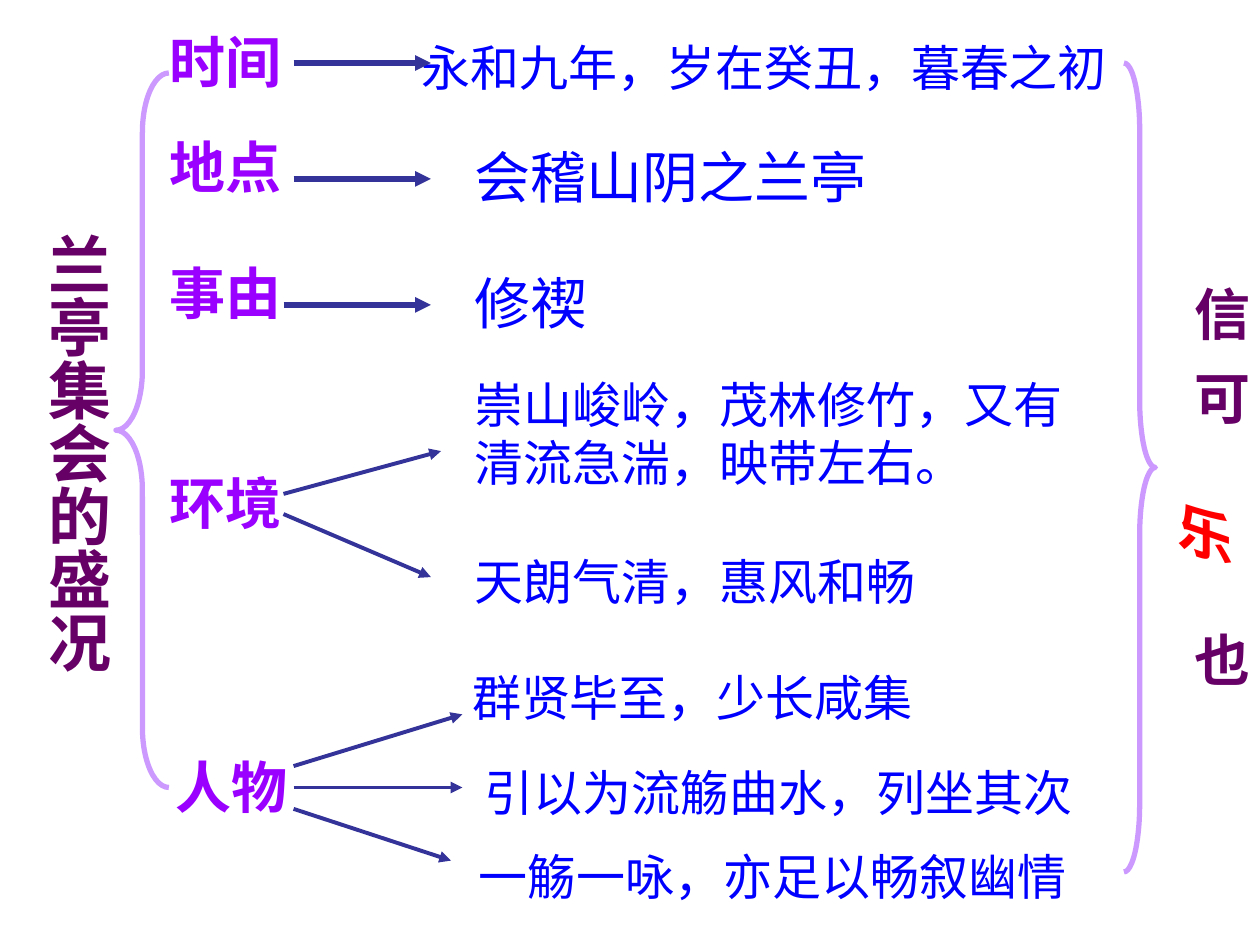
from pptx import Presentation
from pptx.dml.color import RGBColor
from pptx.enum.shapes import MSO_CONNECTOR, MSO_SHAPE
from pptx.enum.text import MSO_ANCHOR, MSO_AUTO_SIZE, PP_ALIGN
from pptx.oxml.ns import qn
from pptx.util import Inches, Pt
from lxml.etree import SubElement

FONT = "Times New Roman"
PLUM = RGBColor(0x66, 0x00, 0x66)
VIOLET = RGBColor(0x99, 0x00, 0xFF)
BLUE = RGBColor(0x00, 0x00, 0xFF)
NAVY = RGBColor(0x33, 0x33, 0x99)
LILAC = RGBColor(0xCC, 0x99, 0xFF)
RED = RGBColor(0xFF, 0x00, 0x00)

LABELS = [
    ("时间", 0.17, PP_ALIGN.LEFT),
    ("地点", 1, PP_ALIGN.LEFT),
    ("事由", 2, PP_ALIGN.LEFT),
    ("环境", 3.67, PP_ALIGN.LEFT),
    ("人物", 5.92, PP_ALIGN.CENTER),
]
QUOTES = [
    ("永和九年，岁在癸丑，暮春之初", 3.25, 0.25, 5.67, 0.57, 28, PP_ALIGN.LEFT),
    ("会稽山阴之兰亭", 3.67, 1.08, 3.58, 0.64, 32, PP_ALIGN.LEFT),
    ("修禊", 3.67, 2.08, 2.25, 0.64, 32, PP_ALIGN.LEFT),
    ("崇山峻岭，茂林修竹，又有清流急湍，映带左右。",
     3.67, 2.92, 5.17, 1.04, 28, PP_ALIGN.LEFT),
    ("天朗气清，惠风和畅", 3.67, 4.33, 4.42, 0.57, 28, PP_ALIGN.LEFT),
    ("群贤毕至，少长咸集", 3.58, 5.25, 3.83, 0.57, 28, PP_ALIGN.CENTER),
    ("引以为流觞曲水，列坐其次", 3.75, 6, 5.25, 0.57, 28, PP_ALIGN.LEFT),
    ("一觞一咏，亦足以畅叙幽情", 3.67, 6.67, 4.92, 0.57, 28, PP_ALIGN.CENTER),
]
ARROWS = [
    (2.33, 0.5, 3.42, 0.5, 3),
    (2.33, 1.42, 3.42, 1.42, 3),
    (2.25, 2.42, 3.42, 2.42, 3),
    (2.25, 3.92, 3.5, 3.58, 2.25),
    (2.25, 4.08, 3.42, 4.58, 2.25),
    (2.33, 6.08, 3.67, 5.67, 2.25),
    (2.33, 6.25, 3.67, 6.25, 2.25),
    (2.33, 6.42, 3.58, 6.83, 2.25),
]
MOOD = [("信", PLUM, 16), ("可", PLUM, 40), ("乐", RED, 46), ("也", PLUM, 0)]


def set_frame(shape, align, upright=False):
    frame = shape.text_frame
    frame.word_wrap = True
    frame.auto_size = MSO_AUTO_SIZE.NONE
    frame.vertical_anchor = MSO_ANCHOR.TOP
    side, end = (0.05, 0.1) if upright else (0.1, 0.05)
    frame.margin_left = frame.margin_right = Inches(side)
    frame.margin_top = frame.margin_bottom = Inches(end)
    if upright:
        frame._txBody.bodyPr.set("vert", "eaVert")
    line = frame.paragraphs[0]
    line.alignment = align
    return line


def add_run(line, text, size, color, bold=False):
    run = line.add_run()
    run.text = text
    font = run.font
    font.name, font.size, font.bold = FONT, Pt(size), bold
    font.color.rgb = color
    return run


def add_text(slide, text, x, y, w, h, size, align, color, bold=False):
    box = slide.shapes.add_textbox(Inches(x), Inches(y), Inches(w), Inches(h))
    add_run(set_frame(box, align), text, size, color, bold)


def add_title(slide):
    title = slide.shapes.title
    title.left, title.top = Inches(0.17), Inches(1.75)
    title.width, title.height = Inches(0.8), Inches(3.91)
    line = set_frame(title, PP_ALIGN.LEFT, True)
    add_run(line, "兰亭集会的盛况", 36, PLUM, True)


def add_mood(slide):
    box = slide.shapes.add_textbox(
        Inches(8.74), Inches(2.17), Inches(1.26), Inches(3.5))
    line = set_frame(box, PP_ALIGN.CENTER, True)
    for text, color, gap in MOOD:
        run = add_run(line, text, 32, color, True)
        run.font.italic = color == RED
        run.font._element.set("spc", str(gap * 100))


def add_brace(slide, kind, x, y, w, h, curve):
    brace = slide.shapes.add_shape(
        kind, Inches(x), Inches(y), Inches(w), Inches(h))
    brace.adjustments[0] = curve
    brace.shadow.inherit = False
    brace.fill.background()
    brace.line.color.rgb = LILAC
    brace.line.width = Pt(3)


def add_arrow(slide, x1, y1, x2, y2, width):
    arrow = slide.shapes.add_connector(
        MSO_CONNECTOR.STRAIGHT, Inches(x1), Inches(y1), Inches(x2), Inches(y2))
    arrow.line.color.rgb = NAVY
    arrow.line.width = Pt(width)
    SubElement(arrow.line._get_or_add_ln(), qn("a:tailEnd"), type="triangle")
    SubElement(arrow._element.spPr, qn("a:effectLst"))


def main():
    deck = Presentation()
    deck.slide_width, deck.slide_height = Inches(10), Inches(7.5)
    slide = deck.slides.add_slide(deck.slide_layouts[5])
    add_title(slide)
    for text, y, align in LABELS:
        add_text(slide, text, 1.25, y, 1.17, 0.64, 32, align, VIOLET, True)
    for quote in QUOTES:
        add_text(slide, *quote, BLUE)
    for arrow in ARROWS:
        add_arrow(slide, *arrow)
    add_brace(slide, MSO_SHAPE.LEFT_BRACE, 0.92, 0.58, 0.42, 5.67, 1.13)
    add_brace(slide, MSO_SHAPE.RIGHT_BRACE, 8.92, 0.5, 0.25, 6.42, 2.14)
    add_mood(slide)
    deck.save("out.pptx")


if __name__ == "__main__":
    main()
